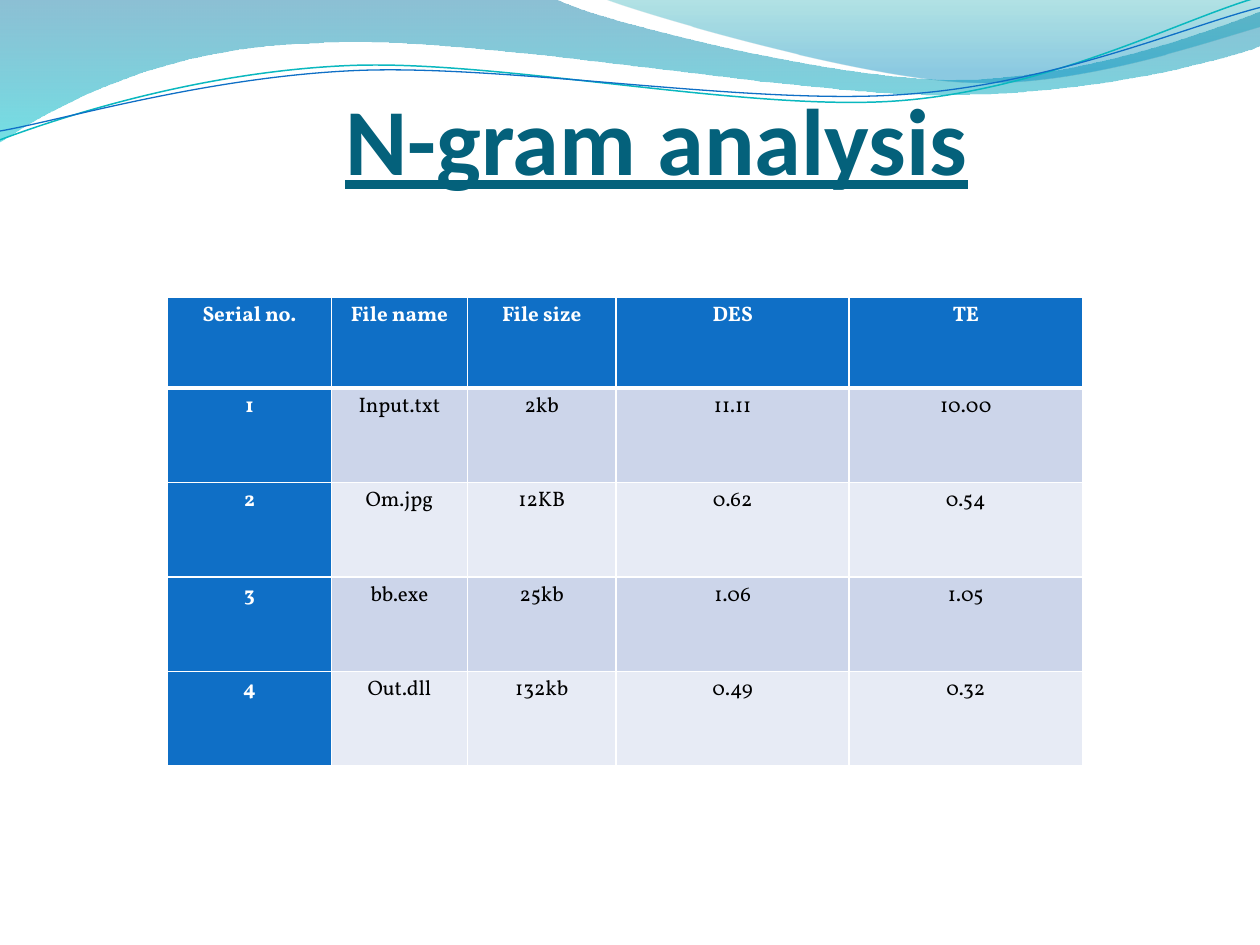
"""Build the N-gram analysis slide: wave header, title and results table."""

from dataclasses import dataclass
from math import cos, radians, sin
from typing import Optional

from lxml.etree import SubElement
from pptx import Presentation
from pptx.dml.color import RGBColor
from pptx.enum.text import MSO_ANCHOR, PP_ALIGN
from pptx.oxml import parse_xml
from pptx.oxml.ns import nsdecls, qn
from pptx.util import Inches, Pt

Point = tuple[float, float]

BLUE, WHITE, BLACK, TITLE_TEAL = "0F6FC6", "FFFFFF", "000000", "04617B"
BANDS = ("CCD5EA", "E7EBF5")
LINE_TILT = -2.7


@dataclass(frozen=True)
class GradientStop:
    """One colour of a wave's gradient, with position and opacity in percent."""

    position: int
    color: str
    opacity: int


@dataclass(frozen=True)
class Wave:
    """A header wave; each segment is a line (1 point) or a cubic curve (3 points)."""

    start: Point
    segments: tuple[tuple[Point, ...], ...]
    gradient: tuple[GradientStop, ...] = ()
    line_color: Optional[str] = None
    line_width: float = 0
    pivot: Point = (0, 0)
    tilt: float = 0


WAVES = (
    Wave(
        (0, 0),
        (
            ((4.4, -0.01),),
            ((4.76, 0.17), (6.64, 0.63), (7.58, 0.63)),
            ((8.53, 0.63), (9.58, 0.26), (10, 0.09)),
            ((10.01, 0.36),),
            ((9.83, 0.44), (8.7, 0.76), (7.46, 0.75)),
            ((6.22, 0.75), (3.82, 0.28), (2.57, 0.34)),
            ((1.29, 0.36), (0.46, 0.83), (-0.01, 1.13)),
            ((0, 0),),
        ),
        gradient=(GradientStop(0, "0074A1", 45), GradientStop(100, "00C6CF", 55)),
    ),
    Wave(
        (4.79, -0.01),
        (
            ((5.09, 0.11), (6.82, 0.62), (7.69, 0.65)),
            ((8.56, 0.69), (9.61, 0.32), (10, 0.21)),
            ((10, 0),),
            ((4.79, -0.01),),
        ),
        gradient=(GradientStop(0, "00A1A9", 30), GradientStop(80, "008BBF", 45)),
    ),
    Wave(
        (0, 1.11),
        (
            ((0.48, 0.93), (1.58, 0.57), (2.77, 0.52)),
            ((3.95, 0.47), (5.93, 0.89), (7.13, 0.8)),
            ((8.33, 0.71), (9.38, 0.15), (9.98, -0.02)),
        ),
        line_color="0AB8BF", line_width=0.85, pivot=(4.99, 0.58), tilt=LINE_TILT,
    ),
    Wave(
        (0, 1.04),
        (
            ((0.47, 0.96), (1.64, 0.61), (2.83, 0.56)),
            ((4.03, 0.51), (5.97, 0.84), (7.17, 0.75)),
            ((8.36, 0.67), (9.41, 0.21), (10, 0.06)),
        ),
        line_color=BLUE, line_width=0.75, pivot=(5, 0.59), tilt=LINE_TILT,
    ),
)

RESULTS = (
    ("Serial no.", "File name", "File size", "DES", "TE"),
    ("1", "Input.txt", "2kb", "11.11", "10.00"),
    ("2", "Om.jpg", "12KB", "0.62", "0.54"),
    ("3", "bb.exe", "25kb", "1.06", "1.05"),
    ("4", "Out.dll", "132kb", "0.49", "0.32"),
)
COLUMN_WIDTHS = (1.3, 1.08, 1.18, 1.85, 1.85)
ROW_HEIGHTS = (0.72, 0.75, 0.75, 0.75, 0.75)


def rgb(color: str) -> RGBColor:
    """Turn a hex string into a colour."""
    return RGBColor.from_string(color)


def untilted(point: Point, wave: Wave) -> tuple[int, int]:
    """Turn a point back by the wave's tilt around its pivot."""
    angle = radians(-wave.tilt)
    dx, dy = point[0] - wave.pivot[0], point[1] - wave.pivot[1]
    x = wave.pivot[0] + dx * cos(angle) - dy * sin(angle)
    y = wave.pivot[1] + dx * sin(angle) + dy * cos(angle)
    return Inches(x), Inches(y)


def build_outline(slide, wave: Wave):
    """Build the wave's freeform, joining each control triple into a Bezier curve."""
    builder = slide.shapes.build_freeform(*untilted(wave.start, wave))
    points = [untilted(point, wave) for segment in wave.segments for point in segment]
    builder.add_line_segments(points, close=bool(wave.gradient))
    shape = builder.convert_to_shape()
    vertices = iter(list(shape.element.iter(qn("a:lnTo"))))
    for segment in wave.segments:
        first, *others = [next(vertices) for _ in segment]
        if others:
            first.tag = qn("a:cubicBezTo")
        for other in others:
            first.append(other[0])
            other.getparent().remove(other)
    shape.rotation = wave.tilt
    return shape


def draw_wave(slide, wave: Wave) -> None:
    """Draw a wave as a gradient area or an open line."""
    shape = build_outline(slide, wave)
    shape.shadow.inherit = False
    if wave.gradient:
        shape.line.fill.background()
        shape.fill.gradient()
        shape.fill.gradient_angle = 270
        for stop, wanted in zip(shape.fill.gradient_stops, wave.gradient):
            stop.position = wanted.position / 100
            stop.color.rgb = rgb(wanted.color)
        for color, wanted in zip(shape.element.spPr.iter(qn("a:srgbClr")), wave.gradient):
            SubElement(color, qn("a:alpha")).set("val", str(wanted.opacity * 1000))
    else:
        shape.fill.background()
        shape.line.color.rgb = rgb(wave.line_color)
        shape.line.width = Pt(wave.line_width)


def style_text(paragraph, font_name: str, size: float, color: str, bold: bool) -> None:
    """Centre a paragraph and set its font."""
    paragraph.alignment = PP_ALIGN.CENTER
    font = paragraph.font
    font.name, font.size, font.bold = font_name, Pt(size), bold
    font.color.rgb = rgb(color)


def draw_title(slide, title: str) -> None:
    """Add the underlined slide title."""
    frame = slide.shapes.add_textbox(Inches(2), Inches(0.29), Inches(6.42), Inches(1.25)).text_frame
    frame.word_wrap = True
    frame.vertical_anchor = MSO_ANCHOR.BOTTOM
    frame.margin_left = frame.margin_right = frame.margin_bottom = 0
    frame.margin_top = Inches(0.05)
    heading = frame.paragraphs[0]
    heading.text = title
    style_text(heading, "Calibri", 54, TITLE_TEAL, True)
    heading.font.underline = True


def set_borders(cell, top: float, bottom: float) -> None:
    """Give a cell white borders, with the top and bottom widths in points."""
    widths = {"lnL": 1, "lnR": 1, "lnT": top, "lnB": bottom}
    properties = cell._tc.get_or_add_tcPr()
    for position, (side, width) in enumerate(widths.items()):
        border = parse_xml(
            f'<a:{side} {nsdecls("a")} w="{Pt(width)}"><a:solidFill>'
            f'<a:srgbClr val="{WHITE}"/></a:solidFill></a:{side}>'
        )
        properties.insert(position, border)


def draw_results(slide) -> None:
    """Add the table with a blue header row and first column and banded values."""
    table = slide.shapes.add_table(
        len(RESULTS), len(COLUMN_WIDTHS), Inches(1.33), Inches(2.36),
        Inches(sum(COLUMN_WIDTHS)), Inches(sum(ROW_HEIGHTS)),
    ).table
    table.first_col = True
    for column, width in zip(table.columns, COLUMN_WIDTHS):
        column.width = Inches(width)
    for row, (values, height) in enumerate(zip(RESULTS, ROW_HEIGHTS)):
        table.rows[row].height = Inches(height)
        for column, value in enumerate(values):
            is_heading = row == 0 or column == 0
            cell = table.cell(row, column)
            cell.margin_left = cell.margin_right = Inches(0.07)
            cell.margin_top = cell.margin_bottom = 0
            cell.fill.solid()
            cell.fill.fore_color.rgb = rgb(BLUE if is_heading else BANDS[(row - 1) % 2])
            set_borders(cell, top=3 if row == 1 else 1, bottom=3 if row == 0 else 1)
            paragraph = cell.text_frame.paragraphs[0]
            paragraph.text = value
            paragraph.line_spacing = 1.15
            style_text(paragraph, "Vollkorn", 12, WHITE if is_heading else BLACK, is_heading)


deck = Presentation()
deck.slide_width, deck.slide_height = Inches(10), Inches(7.5)
header_slide = deck.slides.add_slide(deck.slide_layouts[6])
for header_wave in WAVES:
    draw_wave(header_slide, header_wave)
draw_title(header_slide, "N-gram analysis")
draw_results(header_slide)
deck.save("out.pptx")
